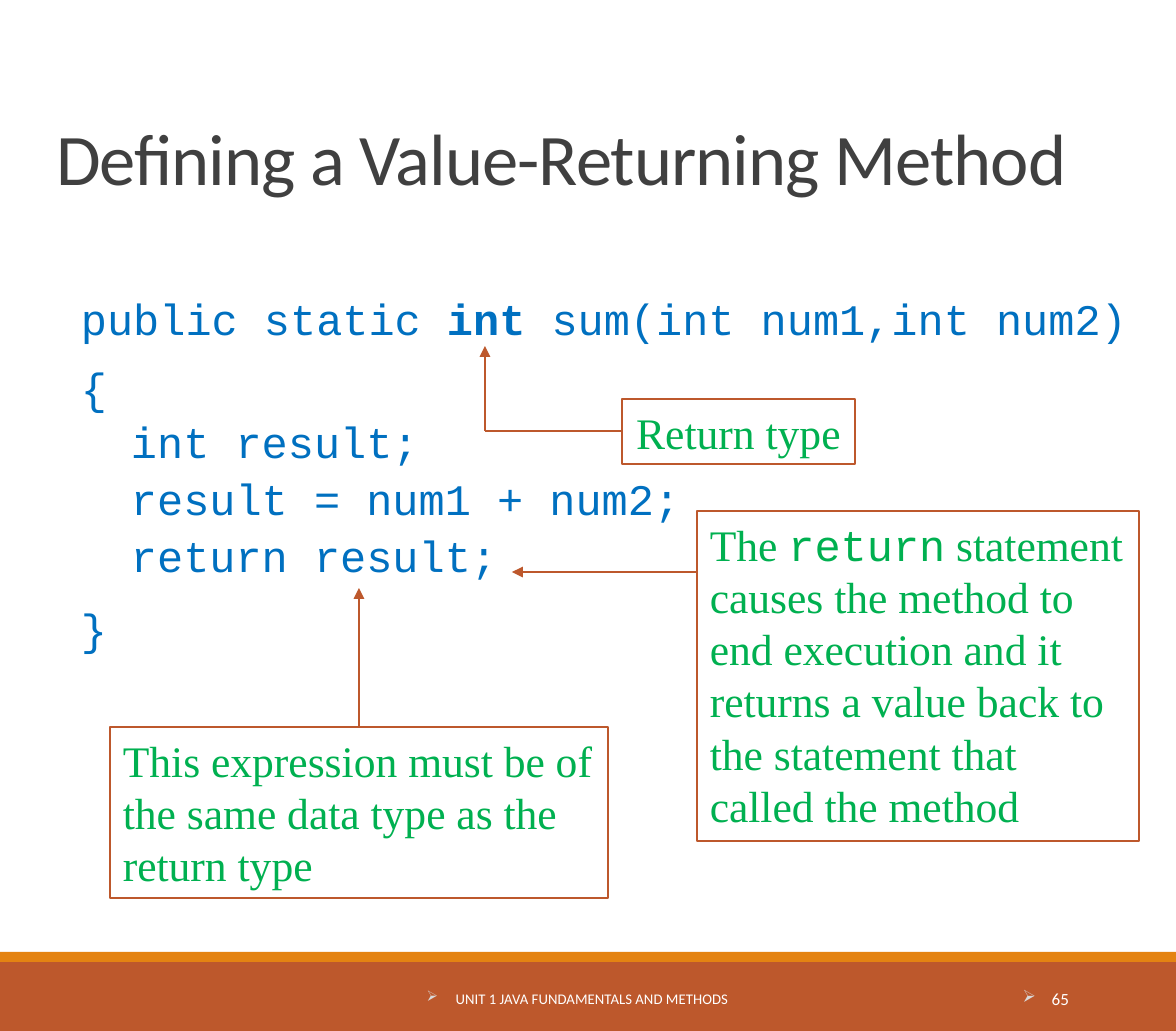
import pptx
import pptx.dml.color
import pptx.enum.shapes
import pptx.enum.text
import pptx.oxml
import pptx.oxml.ns
import pptx.util

RGB = pptx.dml.color.RGBColor
RUST = RGB(0xBD, 0x58, 0x2C)
ORANGE = RGB(0xE4, 0x83, 0x12)
CHARCOAL = RGB(0x40, 0x40, 0x40)
CODE_BLUE = RGB(0x00, 0x70, 0xC0)
NOTE_GREEN = RGB(0x00, 0xB0, 0x50)
WHITE = RGB(0xFF, 0xFF, 0xFF)

SANS, SERIF, MONO = "Calibri", "Times New Roman", "Courier New"
ALIGN = pptx.enum.text.PP_ALIGN
ANCHOR = pptx.enum.text.MSO_ANCHOR
SCALE = 914400 / 130.7


def emu(*lengths):
    return [pptx.util.Emu(round(length * SCALE)) for length in lengths]


def xml(tag, attributes="", content=""):
    return pptx.oxml.parse_xml(
        f"<a:{tag} {pptx.oxml.ns.nsdecls('a')} {attributes}>{content}</a:{tag}>"
    )


class SlideBuilder:
    """Draws styled elements on one slide, with lengths in px."""

    def __init__(self, deck):
        self.slide = deck.slides.add_slide(deck.slide_layouts[5])
        self.shapes = self.slide.shapes

    def style(self, run, font, size, color, bold=False):
        run.font.name = font
        run.font.size = pptx.util.Pt(size)
        run.font.color.rgb = color
        run.font.bold = bold

    def title(self, text, *box):
        heading = self.shapes.title
        heading.left, heading.top, heading.width, heading.height = emu(*box)
        frame = heading.text_frame
        frame.text = text
        frame.auto_size = pptx.enum.text.MSO_AUTO_SIZE.NONE
        frame.vertical_anchor = ANCHOR.BOTTOM
        paragraph = frame.paragraphs[0]
        paragraph.alignment = ALIGN.LEFT
        paragraph.line_spacing = 0.85
        run = paragraph.runs[0]
        self.style(run, SANS, 40, CHARCOAL)
        run.font._element.set("spc", "-50")

    def rectangle(self, *box, fill=None, line=None):
        rect = self.shapes.add_shape(pptx.enum.shapes.MSO_SHAPE.RECTANGLE, *emu(*box))
        rect.shadow.inherit = False
        if fill is None:
            rect.fill.background()
        else:
            rect.fill.solid()
            rect.fill.fore_color.rgb = fill
        if line is None:
            rect.line.fill.background()
        else:
            rect.line.color.rgb = line
            rect.line.width = pptx.util.Pt(0.75)
        return rect

    def note(self, pieces, *box, wrap=True):
        frame = self.rectangle(*box, line=RUST).text_frame
        frame.word_wrap = wrap
        frame.vertical_anchor = ANCHOR.TOP
        paragraph = frame.paragraphs[0]
        paragraph.alignment = ALIGN.LEFT if wrap else ALIGN.CENTER
        for text, font in pieces:
            run = paragraph.add_run()
            run.text = text
            self.style(run, font, 24, NOTE_GREEN)

    def line(self, *ends, arrow=False):
        connector = self.shapes.add_connector(
            pptx.enum.shapes.MSO_CONNECTOR.STRAIGHT, *emu(*ends)
        )
        connector.line.color.rgb = RUST
        connector.line.width = pptx.util.Pt(0.75)
        if arrow:
            connector.line._get_or_add_ln().append(xml("tailEnd", 'type="triangle"'))
        connector._element.spPr.append(xml("effectLst"))

    def code(self, lines, *box):
        frame = self.shapes.add_textbox(*emu(*box)).text_frame
        frame.word_wrap = True
        frame.margin_left = frame.margin_right = 0
        for index, (level, pieces) in enumerate(lines):
            paragraph = frame.add_paragraph() if index else frame.paragraphs[0]
            before, after = (1.8, 3.6) if level else (10.8, 1.8)
            paragraph.level = level
            paragraph.line_spacing = 0.9
            paragraph.space_before = pptx.util.Pt(before)
            paragraph.space_after = pptx.util.Pt(after)
            properties = paragraph._p.get_or_add_pPr()
            properties.set("marL", str(emu(50 * level)[0]))
            properties.set("indent", "0")
            for text, bold in pieces:
                run = paragraph.add_run()
                run.text = text
                self.style(run, MONO, 24, CODE_BLUE, bold)

    def footer(self, text, size, align, *box, right_inset=13):
        frame = self.shapes.add_textbox(*emu(*box)).text_frame
        frame.word_wrap = True
        frame.vertical_anchor = ANCHOR.MIDDLE
        frame.margin_right = emu(right_inset)[0]
        frame.text = text
        paragraph = frame.paragraphs[0]
        paragraph.alignment = align
        self.style(paragraph.runs[0], SANS, size, WHITE)
        hang = emu(29)[0]
        properties = paragraph._p.get_or_add_pPr()
        properties.set("marL", str(hang))
        properties.set("indent", str(-hang))
        properties.append(xml("buClr", content='<a:srgbClr val="D9D9D9"/>'))
        properties.append(xml("buFont", 'typeface="Wingdings"'))
        properties.append(xml("buChar", 'char="Ø"'))


def main():
    deck = pptx.Presentation()
    deck.slide_width, deck.slide_height = emu(1176, 1031)
    page = SlideBuilder(deck)
    page.rectangle(0, 962, 1176, 69, fill=RUST)
    page.rectangle(0, 952, 1176, 10, fill=ORANGE)
    page.title("Defining a Value-Returning Method", 43, 34, 1051, 173)
    page.code(
        [
            (0, [("public static ", False), ("int", True),
                 (" sum(int num1,int num2)", False)]),
            (0, [("{", False)]),
            (1, [("int result;", False)]),
            (1, [("result = num1 + num2;", False)]),
            (1, [("return result;", False)]),
            (0, [("}", False)]),
        ],
        81, 291, 1095, 660,
    )
    page.note([("Return type", SERIF)], 622, 399, 233, 65, wrap=False)
    page.line(485, 431, 622, 431)
    page.line(485, 431, 485, 346, arrow=True)
    page.note(
        [("This expression must be of the same data type as the return type", SERIF)],
        110, 727, 498, 171,
    )
    page.line(359, 727, 359, 588, arrow=True)
    page.note(
        [
            ("The ", SERIF),
            ("return", MONO),
            (" statement causes the method to end execution and it returns "
             "a value back to the statement that called the method", SERIF),
        ],
        697, 511, 442, 330,
    )
    page.line(697, 572, 512, 572, arrow=True)
    page.footer("UNIT 1 JAVA FUNDAMENTALS AND METHODS", 8.1, ALIGN.CENTER,
                355, 971, 465, 55, right_inset=33)
    page.footer("65", 9.4, ALIGN.RIGHT, 955, 971, 127, 55)
    deck.save("out.pptx")


if __name__ == "__main__":
    main()
